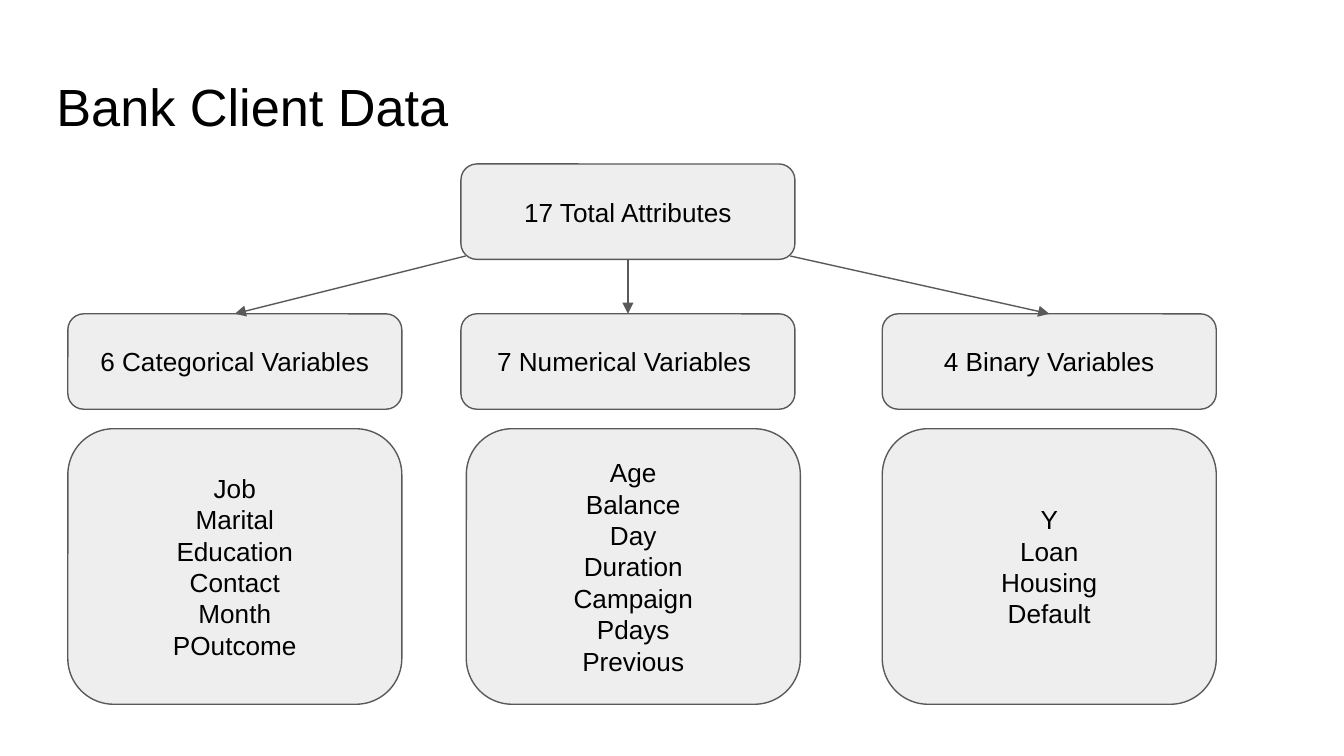
from lxml.etree import SubElement
from pptx import Presentation
from pptx.dml.color import RGBColor
from pptx.enum.shapes import MSO_CONNECTOR, MSO_SHAPE
from pptx.enum.text import MSO_ANCHOR, MSO_AUTO_SIZE, PP_ALIGN
from pptx.oxml.ns import qn
from pptx.util import Pt

PX = 4572  # 200 px to the inch
FONT, BLACK, FILL, LINE = "Arial", "000000", "EEEEEE", "595959"

# Content
TITLE = "Bank Client Data"
ROOT = "17 Total Attributes"
GROUPS = [  # heading, attributes, heading left, list left
    ("6 Categorical Variables",
     ["Job", "Marital", "Education", "Contact", "Month", "POutcome"], 101, 101),
    ("7 Numerical Variables ",
     ["Age", "Balance", "Day", "Duration", "Campaign", "Pdays", "Previous"], 686, 694),
    ("4 Binary Variables", ["Y", "Loan\vHousing", "Default"], 1313, 1313),
]

# Layout
BOX_W, HEAD_H, LIST_H = 497, 142, 410
ROOT_X, ROOT_Y, HEAD_Y, LIST_Y = 686, 244, 467, 638
CORNER_INSET, CORNER_Y = 7, 381  # where the slanted arrows leave the root box
MARGIN = 20


def px(*values):
    return [v * PX for v in values]


def rgb(value):
    return RGBColor.from_string(value)


def format_text(tf, size, align, anchor):
    tf.word_wrap = True
    tf.auto_size = MSO_AUTO_SIZE.NONE
    tf.vertical_anchor = anchor
    tf.margin_left = tf.margin_right = tf.margin_top = tf.margin_bottom = MARGIN * PX
    for p in tf.paragraphs:
        p.alignment = align
        p.font.name, p.font.size = FONT, Pt(size)
        p.font.color.rgb = rgb(BLACK)


def add_box(lines, x, y, h):
    sp = s.shapes.add_shape(MSO_SHAPE.ROUNDED_RECTANGLE, *px(x, y, BOX_W, h))
    sp.shadow.inherit = False
    sp.fill.solid()
    sp.fill.fore_color.rgb = rgb(FILL)
    sp.line.color.rgb, sp.line.width = rgb(LINE), Pt(0.75)
    sp.text_frame.text = "\n".join(lines)
    format_text(sp.text_frame, 14, PP_ALIGN.CENTER, MSO_ANCHOR.MIDDLE)
    return sp


def add_arrow(x, y, target):
    c = s.shapes.add_connector(MSO_CONNECTOR.STRAIGHT, *px(x, y, x, y))
    c.end_connect(target, 0)
    c.line.color.rgb, c.line.width = rgb(LINE), Pt(0.75)
    SubElement(c.line._get_or_add_ln(), qn("a:tailEnd"), type="triangle")
    SubElement(c._element.spPr, qn("a:effectLst"))
    return c


prs = Presentation()
prs.slide_width, prs.slide_height = px(2000, 1125)
s = prs.slides.add_slide(prs.slide_layouts[5])

# Title
title = s.shapes.title
title.left, title.top, title.width, title.height = px(64, 90, 1864, 126)
title.text_frame.text = TITLE
format_text(title.text_frame, 28, PP_ALIGN.LEFT, MSO_ANCHOR.TOP)

# Boxes
root = add_box([ROOT], ROOT_X, ROOT_Y, HEAD_H)
heads = []
for heading, attributes, head_x, list_x in GROUPS:
    heads.append(add_box([heading], head_x, HEAD_Y, HEAD_H))
    add_box(attributes, list_x, LIST_Y, LIST_H)

# Arrows from the root box to each heading
left, middle, right = heads
add_arrow(ROOT_X + CORNER_INSET, CORNER_Y, left)
add_arrow(ROOT_X + BOX_W // 2, ROOT_Y + HEAD_H, middle).begin_connect(root, 2)
add_arrow(ROOT_X + BOX_W - CORNER_INSET, CORNER_Y, right)

prs.save("out.pptx")
